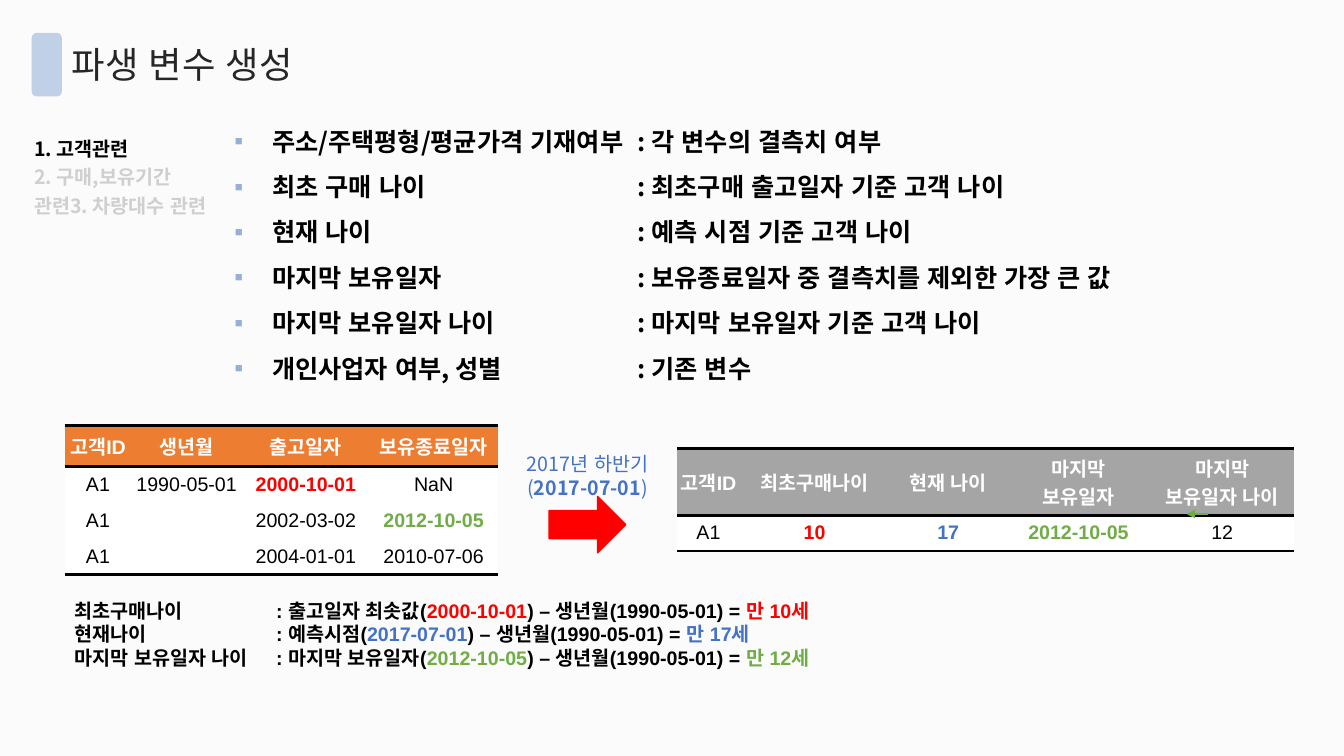
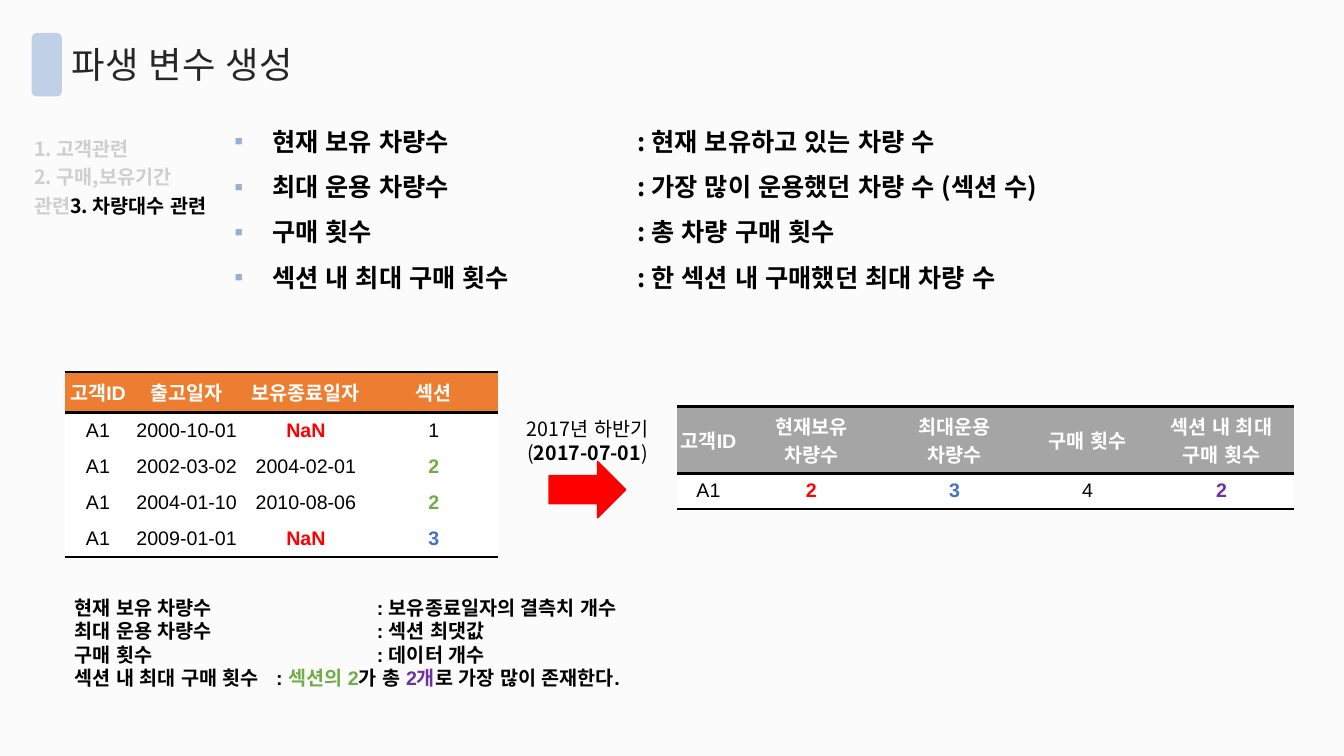
from dataclasses import dataclass

from lxml import etree
from pptx import Presentation
from pptx.dml.color import RGBColor
from pptx.enum.lang import MSO_LANGUAGE_ID
from pptx.enum.shapes import MSO_CONNECTOR, MSO_SHAPE
from pptx.enum.text import MSO_ANCHOR, PP_ALIGN
from pptx.oxml.ns import qn
from pptx.util import Cm, Pt

LEFT, MID, JUST = PP_ALIGN.LEFT, PP_ALIGN.CENTER, PP_ALIGN.JUSTIFY
CENTRE = MSO_ANCHOR.MIDDLE
ROUND, ARROW = MSO_SHAPE.ROUNDED_RECTANGLE, MSO_SHAPE.RIGHT_ARROW
LINE, KOREAN = MSO_CONNECTOR.STRAIGHT, MSO_LANGUAGE_ID.KOREAN


@dataclass(frozen=True)
class Theme:
    """Colours, fonts and type sizes of the deck."""
    page: str = "FBFBFB"
    band: str = "C0D0E6"
    bullet: str = "95AFD7"
    title: str = "262626"
    black: str = "000000"
    white: str = "FFFFFF"
    faint: str = "D0CECE"
    orange: str = "ED7D31"
    grey: str = "A5A5A5"
    red: str = "FF0000"
    blue: str = "4472C4"
    green: str = "70AD47"
    purple: str = "7030A0"
    hangul: str = "Noto Sans CJK KR"
    latin: str = "Arial"
    head: Pt = Pt(26)
    list: Pt = Pt(18)
    body: Pt = Pt(14)
    tab: Cm = Cm(2.54)
    plain: str = "{2D5ABB26-0587-4C30-8999-92F81FD0307C}"


T = Theme()
TEXT = {"name": T.hangul, "size": T.body, "bold": False, "ink": T.black}
BOLD = TEXT | {"bold": True}
CELL = TEXT | {"name": T.latin}
HEAD = CELL | {"bold": True, "ink": T.white}
NOTE = CELL | {"bold": True}
TITLE = TEXT | {"size": T.head, "ink": T.title}
ITEM = BOLD | {"size": T.list}
INSET = {"left": 0.05, "right": 0.05, "top": 0, "bottom": 0}


def rgb(code):
    """Turn a hex code into a colour."""
    return RGBColor.from_string(code)


def ink(text, colour):
    """Mark a piece of text as bold in a colour."""
    return text, {"ink": colour, "bold": True}


def add_run(para, part, base):
    """Add one run, given as text or as text with its own format."""
    text, extra = part if isinstance(part, tuple) else (part, {})
    look = base | extra
    run = para.add_run()
    run.text = text
    run.font.color.rgb = rgb(look.pop("ink"))
    for key, value in (look | {"language_id": KOREAN}).items():
        setattr(run.font, key, value)
    props = run.font._element
    etree.SubElement(props, qn("a:ea"), typeface=T.hangul)


def add_mark(para):
    """Give a paragraph a square bullet with a hanging indent."""
    props = para._p.get_or_add_pPr()
    gap = int(Cm(0.95))
    props.set("marL", str(gap))
    props.set("indent", str(-gap))
    tint = etree.SubElement(props, qn("a:buClr"))
    etree.SubElement(tint, qn("a:srgbClr"), val=T.bullet)
    etree.SubElement(props, qn("a:buFont"), typeface=T.latin)
    etree.SubElement(props, qn("a:buChar"), char="▪")


def fill_text(frame, lines, base, align=LEFT, pitch=None, mark=False):
    """Write lines, each a list of runs, into a text frame."""
    for i, line in enumerate(lines):
        para = frame.paragraphs[0] if i == 0 else frame.add_paragraph()
        para._p.get_or_add_pPr().set("defTabSz", str(int(T.tab)))
        if mark:
            add_mark(para)
        for key, value in {"alignment": align, "line_spacing": pitch}.items():
            setattr(para, key, value)
        for part in line:
            add_run(para, part, base)


def add_text(slide, box, lines, base, wrap=True, **style):
    """Add a text box."""
    frame = slide.shapes.add_textbox(*map(Cm, box)).text_frame
    frame.word_wrap = wrap
    fill_text(frame, lines, base, **style)


def add_block(slide, kind, box, colour, edge=False):
    """Add a flat preset shape."""
    shape = slide.shapes.add_shape(kind, *map(Cm, box))
    shape.shadow.inherit = False
    shape.fill.solid()
    shape.fill.fore_color.rgb = rgb(colour)
    if edge:
        shape.line.color.rgb = rgb(colour)
        shape.line.width = Pt(1)
    else:
        shape.line.fill.background()


def add_rule(cell, side):
    """Draw a black border on one side of a cell."""
    props = cell._tc.get_or_add_tcPr()
    line = etree.SubElement(props, qn(f"a:{side}"), w=str(int(Pt(2))))
    paint = etree.SubElement(line, qn("a:solidFill"))
    etree.SubElement(paint, qn("a:srgbClr"), val=T.black)


def fill_cell(cell, value, base, colour, sides):
    """Write and format one table cell."""
    for side, gap in INSET.items():
        setattr(cell, f"margin_{side}", Cm(gap))
    cell.vertical_anchor = CENTRE
    for side in sides:
        add_rule(cell, side)
    cell.fill.solid()
    cell.fill.fore_color.rgb = rgb(colour)
    if isinstance(value, tuple):
        lines = [[value]]
    else:
        lines = [[text] for text in value.split("\n") if text]
    pitch = Pt(20.2) if len(lines) > 1 else None
    fill_text(cell.text_frame, lines, base, MID, pitch)


def add_grid(slide, spot, widths, heights, rows, colour):
    """Add a table with a coloured head row."""
    size = sum(widths), sum(heights)
    frame = slide.shapes.add_table(len(rows), len(widths), *map(Cm, spot + size))
    frame._element.find(".//" + qn("a:tableStyleId")).text = T.plain
    table = frame.table
    table.first_row = table.horz_banding = False
    for col, width in zip(table.columns, widths):
        col.width = Cm(width)
    for i, (row, height) in enumerate(zip(rows, heights)):
        table.rows[i].height = Cm(height)
        sides = ("lnT", "lnB") if i == 0 else ("lnB",) if i == len(rows) - 1 else ()
        base, back = (HEAD, colour) if i == 0 else (CELL, T.white)
        for j, value in enumerate(row):
            fill_cell(table.cell(i, j), value, base, back, sides)


def add_input(slide, top, rows):
    """Add the source table on the left."""
    heights = [1.03] + [0.91] * (len(rows) - 1)
    add_grid(slide, (1.63, top), (1.68, 2.79, 3.22, 3.22), heights, rows, T.orange)


def add_result(slide, top, widths, rows):
    """Add the derived table on the right."""
    add_grid(slide, (17.07, top), widths, (1.69, 0.89), rows, T.grey)


def add_step(slide, top, colour):
    """Add the dated caption with the arrow below it."""
    lines = [["2017년 하반기"], ["(", ink("2017-07-01", colour), ")"]]
    add_text(slide, (12.93, top, 3.76, 1.45), lines, TEXT | {"ink": colour},
             wrap=False, align=MID, pitch=Pt(17))
    add_block(slide, ARROW, (13.84, top + 1.26, 1.93, 1.42), T.red, edge=True)


def add_tip(slide, start, end, colour):
    """Add a thin line with an arrowhead at its end."""
    line = slide.shapes.add_connector(LINE, *map(Cm, start + end))
    line.line.color.rgb = rgb(colour)
    line.line.width = Pt(1)
    etree.SubElement(line.line._get_or_add_ln(), qn("a:tailEnd"), type="triangle")
    etree.SubElement(line._element.spPr, qn("a:effectLst"))


def add_list(slide, height, items):
    """Add the bulleted list of variables."""
    add_text(slide, (5.66, 2.67, 25.86, height), [[item] for item in items], ITEM,
             pitch=Pt(32.4), mark=True)


def add_notes(slide, top, height, lines):
    """Add the worked-out rules at the foot."""
    add_text(slide, (1.63, top, 25, height), lines, NOTE, align=JUST, pitch=Pt(16.8))


def add_page(deck, active):
    """Add a slide with title, band and the side list, one entry active."""
    slide = deck.slides.add_slide(deck.slide_layouts[5])
    add_block(slide, ROUND, (0.8, 0.83, 0.76, 1.6), T.band)
    title = slide.shapes.title
    place = {"left": 1.55, "top": 0.92, "width": 8, "height": 1.37}
    for key, value in place.items():
        setattr(title, key, Cm(value))
    title.text_frame.vertical_anchor = CENTRE
    fill_text(title.text_frame, [["파생 변수 생성"]], TITLE)
    names = ("1. 고객관련", "2. 구매,보유기간 관련", "3. 차량대수 관련")
    first, *rest = [ink(name, T.black if i == active else T.faint)
                    for i, name in enumerate(names)]
    add_text(slide, (0.61, 3.21, 4.9, 2.36), [[first], rest], BOLD, pitch=Pt(20.2))
    return slide


def add_ages(deck):
    """Build the slide on customer variables."""
    slide = add_page(deck, 0)
    add_list(slide, 7.06, (
        "주소/주택평형/평균가격 기재여부 \t: 각 변수의 결측치 여부",
        "최초 구매 나이\t\t\t: 최초구매 출고일자 기준 고객 나이",
        "현재 나이\t\t\t: 예측 시점 기준 고객 나이",
        "마지막 보유일자\t\t: 보유종료일자 중 결측치를 제외한 가장 큰 값",
        "마지막 보유일자 나이\t\t: 마지막 보유일자 기준 고객 나이",
        "개인사업자 여부, 성별\t\t: 기존 변수"))
    first, now, last = "2000-10-01", "2017-07-01", "2012-10-05"
    add_input(slide, 10.72, (
        ("고객ID", "생년월", "출고일자", "보유종료일자"),
        ("A1", "1990-05-01", ink(first, T.red), "NaN"),
        ("A1", "", "2002-03-02", ink(last, T.green)),
        ("A1", "", "2004-01-01", "2010-07-06")))
    add_result(slide, 11.3, (1.57, 3.78, 2.95, 3.62, 3.62), (
        ("고객ID", "최초구매나이", "현재 나이", "마지막\n보유일자", "마지막\n보유일자 나이"),
        ("A1", ink("10", T.red), ink("17", T.blue), ink(last, T.green), "12")))
    add_step(slide, 11.25, T.blue)
    add_tip(slide, (30.45, 12.95), (29.9, 12.95), T.green)
    rules = (("최초구매나이\t: 출고일자 최솟값(", first, "만 10세", T.red),
             ("현재나이\t\t: 예측시점(", now, "만 17세", T.blue),
             ("마지막 보유일자 나이\t: 마지막 보유일자(", last, "만 12세", T.green))
    add_notes(slide, 14.96, 2.06, [
        [name, ink(date, tint), ") – 생년월(1990-05-01) = ", ink(age, tint)]
        for name, date, age, tint in rules])


def add_cars(deck):
    """Build the slide on vehicle counts."""
    slide = add_page(deck, 2)
    add_list(slide, 4.75, (
        "현재 보유 차량수\t\t: 현재 보유하고 있는 차량 수",
        "최대 운용 차량수\t\t: 가장 많이 운용했던 차량 수 (섹션 수)",
        "구매 횟수\t\t\t: 총 차량 구매 횟수",
        "섹션 내 최대 구매 횟수\t\t: 한 섹션 내 구매했던 최대 차량 수"))
    none, two = ink("NaN", T.red), ink("2", T.green)
    add_input(slide, 9.37, (
        ("고객ID", "출고일자", "보유종료일자", "섹션"),
        ("A1", "2000-10-01", none, "1"),
        ("A1", "2002-03-02", "2004-02-01", two),
        ("A1", "2004-01-10", "2010-08-06", two),
        ("A1", "2009-01-01", none, ink("3", T.blue))))
    add_result(slide, 10.24, (1.57, 3.61, 3.61, 3.1, 3.65), (
        ("고객ID", "현재보유\n차량수", "최대운용\n차량수", "구매 횟수", "섹션 내 최대\n구매 횟수"),
        ("A1", ink("2", T.red), ink("3", T.blue), "4", ink("2", T.purple))))
    add_step(slide, 10.37, T.black)
    add_notes(slide, 14.88, 2.64, [
        ["현재 보유 차량수\t\t: 보유종료일자의 결측치 개수"],
        ["최대 운용 차량수\t\t: 섹션 최댓값"],
        ["구매 횟수\t\t\t: 데이터 개수"],
        ["섹션 내 최대 구매 횟수\t: ", ink("섹션의 2", T.green), "가 총 ",
         ink("2개", T.purple), "로 가장 많이 존재한다."]])


def main():
    """Build and save the deck."""
    deck = Presentation()
    deck.slide_width, deck.slide_height = Cm(33.87), Cm(19.05)
    back = deck.slide_master.background.fill
    back.solid()
    back.fore_color.rgb = rgb(T.page)
    add_ages(deck)
    add_cars(deck)
    deck.save("out.pptx")


if __name__ == "__main__":
    main()
